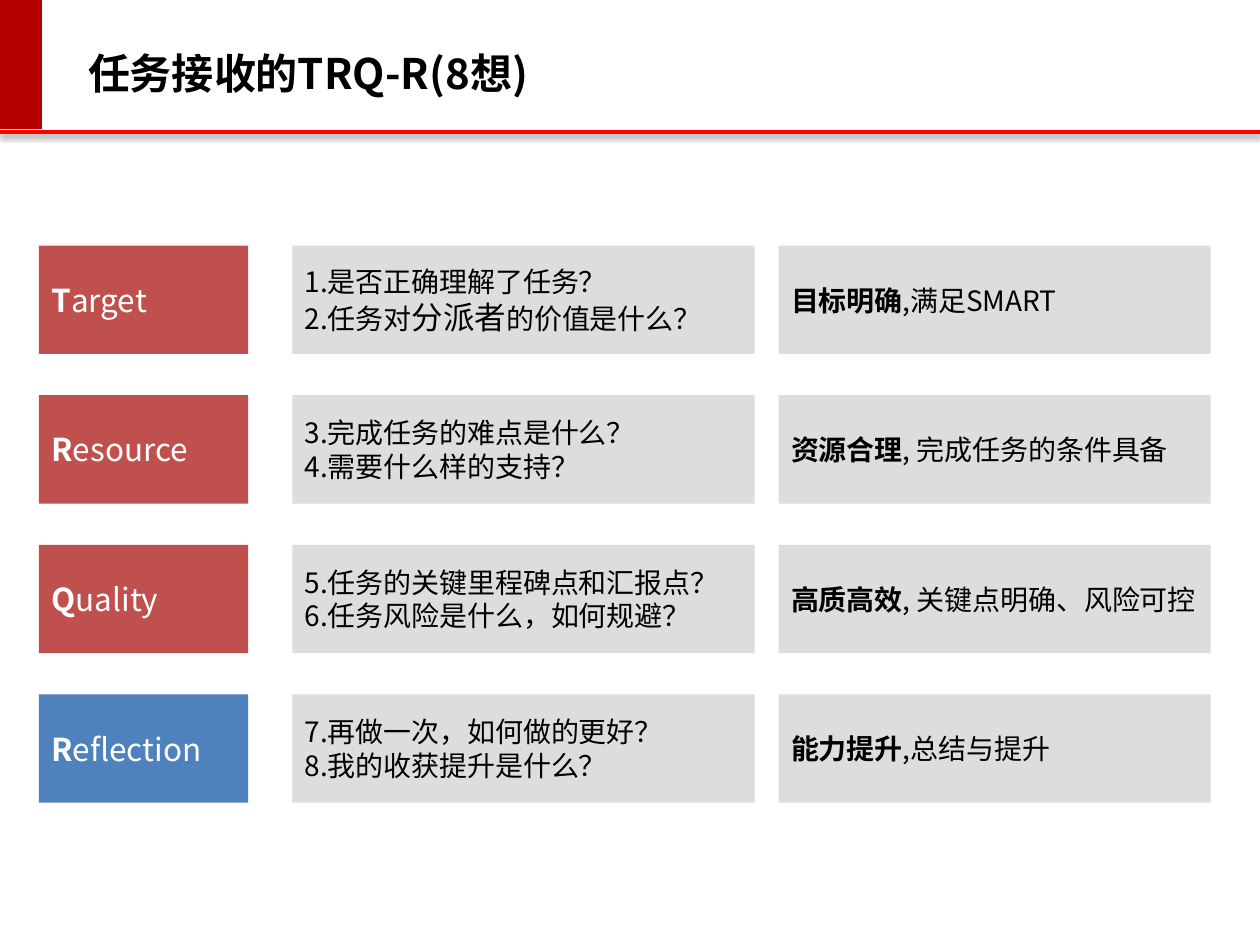
from pptx import Presentation
from pptx.util import Inches, Pt
from pptx.dml.color import RGBColor as RGB
from pptx.enum.shapes import MSO_SHAPE as Shape, MSO_CONNECTOR as Link
from pptx.enum.text import MSO_ANCHOR as Anchor, PP_ALIGN as Align
from pptx.oxml import parse_xml
from pptx.oxml.ns import qn, nsdecls
from lxml.etree import SubElement as Sub

THEME = {
    "font": "Noto Sans CJK SC", "ink": "000000", "white": "FFFFFF",
    "bar": "B40000", "rule": "FF0000", "red": "C0504D", "blue": "4F81BD", "gray": "DDDDDD",
    "title": 24, "head": 18, "body": 16,
}
TITLE = "任务接收的TRQ-R(8想)"
ROWS = [
    ("red", "Target",
     [["1.是否正确理解了任务？"], ["2.任务对", ("分派者", "head"), "的价值是什么？"]],
     ("目标明确", ",满足SMART")),
    ("red", "Resource",
     [["3.完成任务的难点是什么？"], ["4.需要什么样的支持？"]],
     ("资源合理", ", 完成任务的条件具备")),
    ("red", "Quality",
     [["5.任务的关键里程碑点和汇报点？"], ["6.任务风险是什么，如何规避？"]],
     ("高质高效", ", 关键点明确、风险可控")),
    ("blue", "Reflection",
     [["7.再做一次，如何做的更好？"], ["8.我的收获提升是什么？"]],
     ("能力提升", ",总结与提升")),
]
COLS = [(0.31, 1.66), (2.32, 3.67), (6.18, 3.43)]
TOP, STEP, HIGH = 1.95, 1.187, 0.86
SHADOW = (f'<a:effectLst {nsdecls("a")}><a:outerShdw blurRad="39370" dist="20320" '
          'dir="5400000" rotWithShape="0"><a:srgbClr val="000000">'
          '<a:alpha val="38000"/></a:srgbClr></a:outerShdw></a:effectLst>')


def color(key):
    return RGB.from_string(THEME[key])


def add_run(para, text, size, ink="ink", bold=False):
    run = para.add_run()
    run.text = text
    font = run.font
    font.size, font.bold, font.name = Pt(THEME[size]), bold, THEME["font"]
    font.color.rgb = color(ink)
    props = run._r.get_or_add_rPr()
    props.set("lang", "zh-CN")
    Sub(props, qn("a:ea")).set("typeface", THEME["font"])


def write(frame, paras, wrap=False):
    frame.word_wrap = wrap
    frame.vertical_anchor = Anchor.MIDDLE
    for i, runs in enumerate(paras):
        para = frame.add_paragraph() if i else frame.paragraphs[0]
        para.alignment = Align.LEFT
        for run in runs:
            add_run(para, *run)


def add_box(slide, left, top, wide, high, fill, line=None):
    box = slide.shapes.add_shape(Shape.RECTANGLE, *map(Inches, (left, top, wide, high)))
    box.shadow.inherit = False
    box.fill.solid()
    box.fill.fore_color.rgb = color(fill)
    if line:
        box.line.color.rgb, box.line.width = color(line), Pt(1)
    else:
        box.line.fill.background()
    return box


def add_top(slide):
    rule = slide.shapes.add_connector(Link.STRAIGHT, 0, Inches(1.05), Inches(10), Inches(1.05))
    rule.line.color.rgb, rule.line.width = color("rule"), Pt(2.25)
    rule._element.spPr.append(parse_xml(SHADOW))
    add_box(slide, 0, 0, 0.33, 1.02, "bar", "bar")
    head = slide.shapes.add_textbox(*map(Inches, (0.6, 0.3, 7.78, 0.56)))
    write(head.text_frame, [[(TITLE, "title", "ink", True)]], True)


def add_row(slide, top, fill, word, asks, goal):
    lines = [[(part, "body") if isinstance(part, str) else part for part in ask]
             for ask in asks]
    label = [[(word[0], "head", "white", True), (word[1:], "head", "white")]]
    result = [[(goal[0], "body", "ink", True), (goal[1], "body")]]
    cells = zip(COLS, (fill, "gray", "gray"), (label, lines, result))
    for (left, wide), tone, paras in cells:
        write(add_box(slide, left, top, wide, HIGH, tone).text_frame, paras)


def main():
    """Build the task intake slide."""
    deck = Presentation()
    deck.slide_width, deck.slide_height = Inches(10), Inches(7.5)
    slide = deck.slides.add_slide(deck.slide_layouts[6])
    add_top(slide)
    for i, row in enumerate(ROWS):
        add_row(slide, TOP + i * STEP, *row)
    deck.save("out.pptx")


main()
